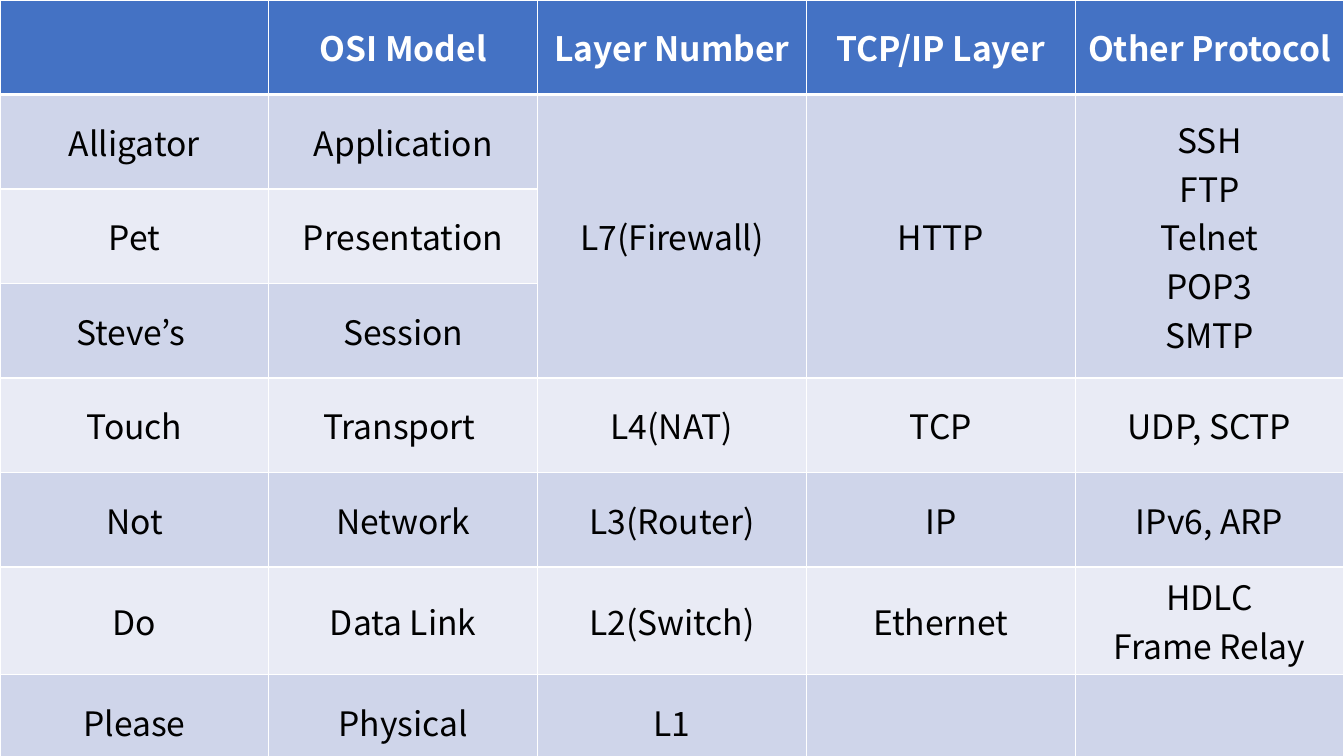
from dataclasses import dataclass

from lxml.etree import SubElement
from pptx import Presentation
from pptx.dml.color import RGBColor
from pptx.enum.text import MSO_ANCHOR, PP_ALIGN
from pptx.oxml.ns import qn
from pptx.table import _Cell
from pptx.util import Inches, Pt

FONT = "Noto Sans CJK KR"
WHITE, BLACK, BLUE = "FFFFFF", "000000", "4472C4"
BANDS = ("CFD5EA", "E9EBF5")
MERGED_ROWS = (1, 3)
MERGED_COLS = (2, 3, 4)


@dataclass(frozen=True)
class Layer:
    mnemonic: str
    model: str
    number: str = ""
    tcp_ip: str = ""
    other: str = ""

    def texts(self) -> tuple[str, ...]:
        return self.mnemonic, self.model, self.number, self.tcp_ip, self.other


LAYERS = [
    Layer("", "OSI Model", "Layer Number", "TCP/IP Layer", "Other Protocol"),
    Layer("Alligator", "Application", "L7(Firewall)", "HTTP",
          "SSH\nFTP\nTelnet\nPOP3\nSMTP"),
    Layer("Pet", "Presentation"),
    Layer("Steve’s ", "Session"),
    Layer("Touch", "Transport ", "L4(NAT)", "TCP", "UDP, SCTP"),
    Layer("Not", "Network", "L3(Router)", "IP", "IPv6, ARP"),
    Layer("Do", "Data Link", "L2(Switch)", "Ethernet", "HDLC\nFrame Relay"),
    Layer("Please", "Physical", "L1"),
]


def rgb(color: str) -> RGBColor:
    return RGBColor.from_string(color)


def add_border(cell: _Cell, side: str, width: float) -> None:
    tc_pr = cell._tc.get_or_add_tcPr()
    ln = SubElement(tc_pr, qn(f"a:ln{side}"), w=str(Pt(width)))
    fill = SubElement(ln, qn("a:solidFill"))
    SubElement(fill, qn("a:srgbClr"), val=WHITE)


def write_text(cell: _Cell, text: str, color: str, bold: bool) -> None:
    cell.vertical_anchor = MSO_ANCHOR.MIDDLE
    tf = cell.text_frame
    for i, line in enumerate(text.split("\n")):
        p = tf.add_paragraph() if i else tf.paragraphs[0]
        p.alignment = PP_ALIGN.CENTER
        if line:
            r = p.add_run()
            r.text = line
            r.font.name = FONT
            r.font.size = Pt(24)
            r.font.bold = bold
            r.font.color.rgb = rgb(color)


def draw_cell(cell: _Cell, text: str, row: int) -> None:
    header = row == 0
    widths = {"L": 1, "R": 1, "T": 3 if row == 1 else 1, "B": 3 if header else 1}
    for side, width in widths.items():
        add_border(cell, side, width)
    cell.fill.solid()
    cell.fill.fore_color.rgb = rgb(BLUE if header else BANDS[(row - 1) % 2])
    write_text(cell, text, WHITE if header else BLACK, header)


prs = Presentation()
prs.slide_width, prs.slide_height = Inches(13.33), Inches(7.5)
s = prs.slides.add_slide(prs.slide_layouts[6])

n_rows, n_cols = len(LAYERS), len(LAYERS[0].texts())
table = s.shapes.add_table(
    n_rows, n_cols, 0, 0, prs.slide_width, prs.slide_height).table

for row, layer in enumerate(LAYERS):
    for col, text in enumerate(layer.texts()):
        draw_cell(table.cell(row, col), text, row)

first, last = MERGED_ROWS
for col in MERGED_COLS:
    table.cell(first, col).merge(table.cell(last, col))

prs.save("out.pptx")
